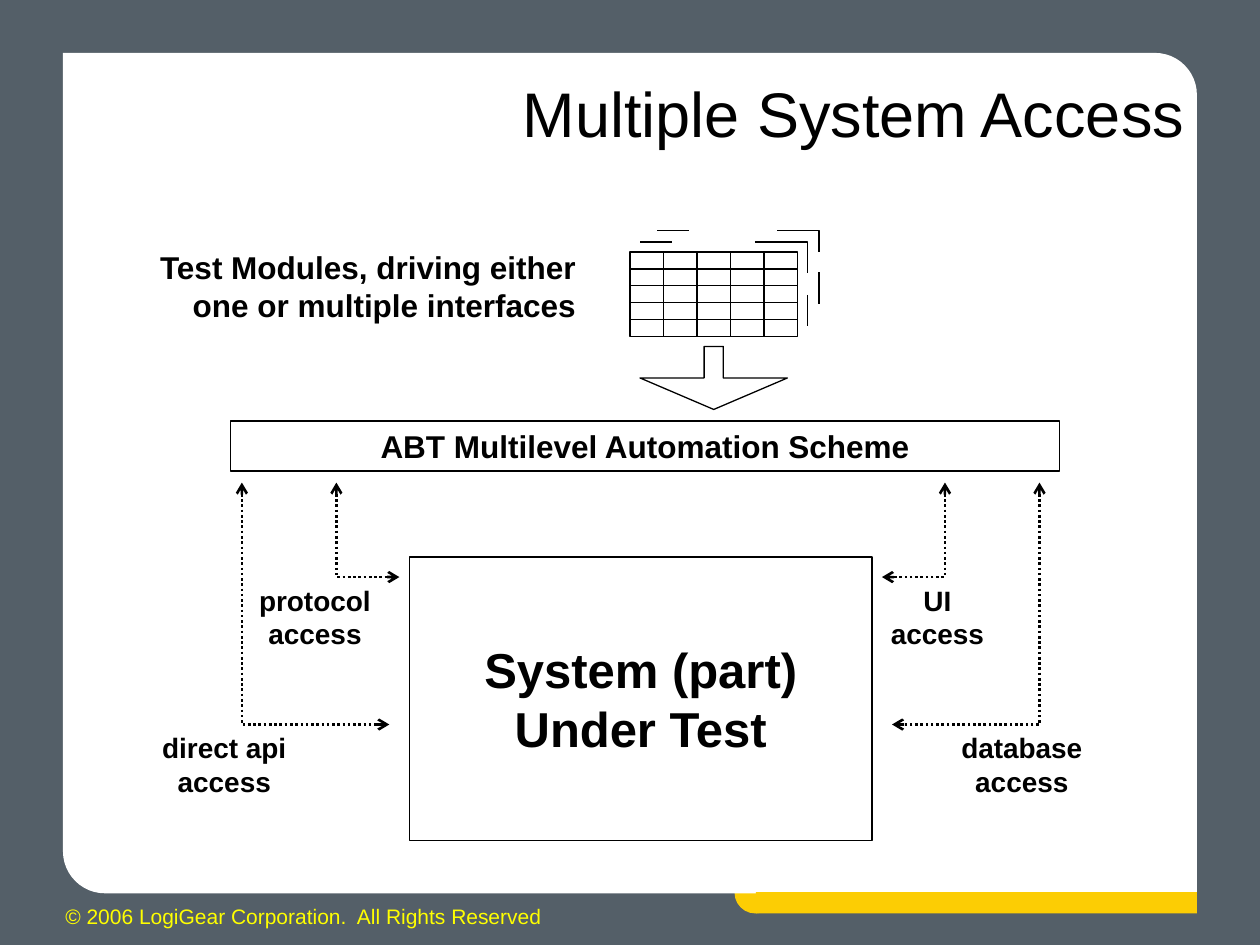
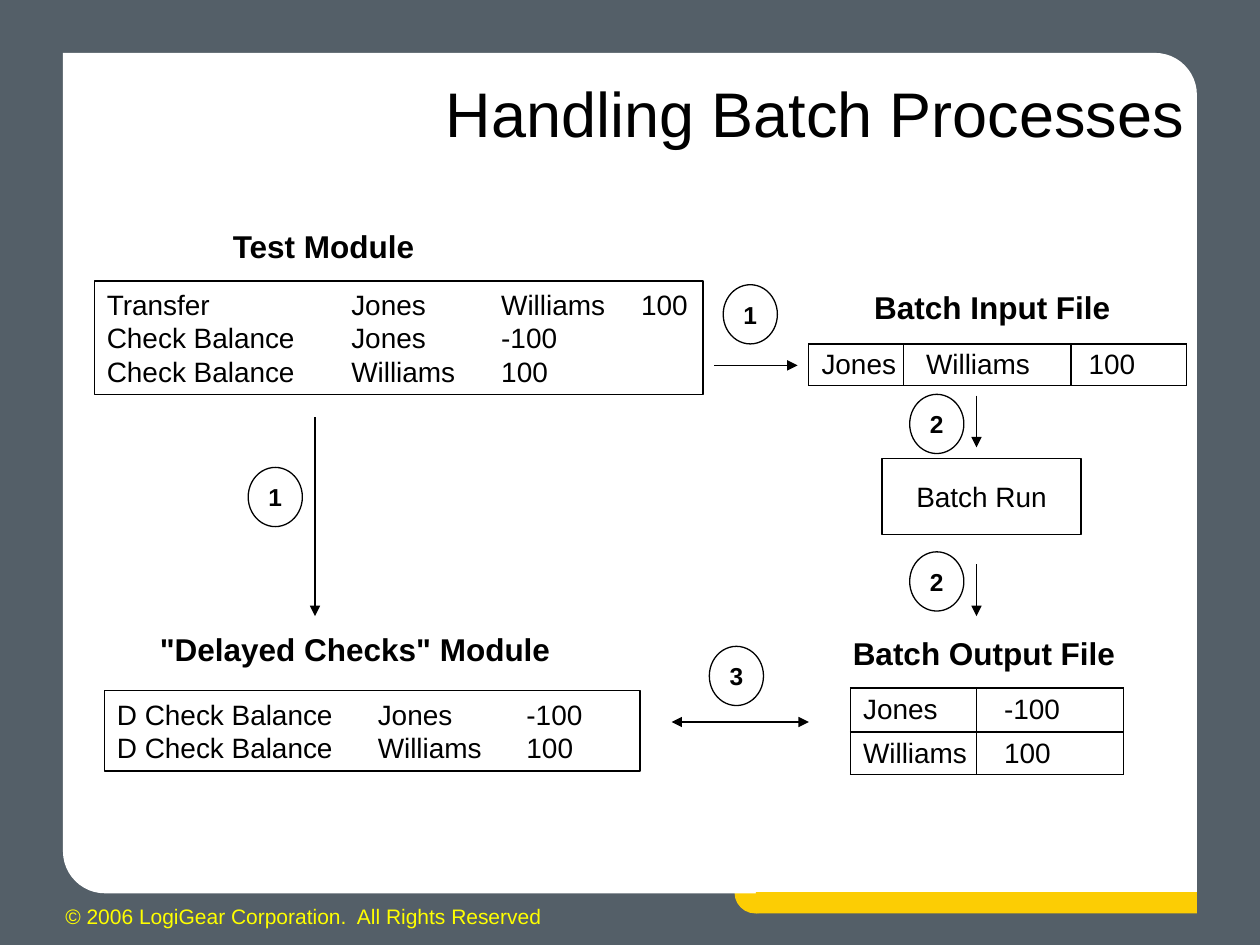
import pptx
import pptx.util
import pptx.dml.color
import pptx.enum.dml
import pptx.enum.shapes
import pptx.enum.text
import pptx.oxml
import pptx.oxml.ns
from lxml import etree

Inches = pptx.util.Inches
SHAPE = pptx.enum.shapes.MSO_SHAPE
ALIGN = pptx.enum.text.PP_ALIGN
ANCHOR = pptx.enum.text.MSO_ANCHOR
qn = pptx.oxml.ns.qn

COLORS = {
    "slate": "545F68",
    "panel": "FFFFFF",
    "gold": "FCCD04",
    "footer": "FFFF00",
    "ink": "000000",
}
FONT = "Arial"
THIN = 0.75


def color(name):
    return pptx.dml.color.RGBColor.from_string(COLORS[name])


def write_text(frame, text, size=16, bold=False, ink="ink", align=ALIGN.LEFT,
               anchor=ANCHOR.MIDDLE, wrap=False, tabs=(), last_spacing=None):
    frame.text = text
    frame.word_wrap = wrap
    frame.vertical_anchor = anchor
    for paragraph in frame.paragraphs:
        paragraph.alignment = align
        if tabs:
            stops = etree.SubElement(paragraph._p.get_or_add_pPr(), qn("a:tabLst"))
            for stop in tabs:
                etree.SubElement(stops, qn("a:tab"), pos=str(Inches(stop)), algn="l")
        for run in paragraph.runs:
            run.font.name = FONT
            run.font.size = pptx.util.Pt(size)
            run.font.bold = bold
            run.font.color.rgb = color(ink)
    if last_spacing:
        frame.paragraphs[-1].line_spacing = last_spacing


def add_label(slide, left, top, width, height, text, **text_format):
    label = slide.shapes.add_textbox(*map(Inches, (left, top, width, height)))
    write_text(label.text_frame, text, **{"anchor": ANCHOR.TOP, **text_format})


def set_stroke(line, weight):
    line.color.rgb = color("ink")
    line.width = pptx.util.Pt(weight)


def add_ends(shape, head, tail):
    outline = shape.line._get_or_add_ln()
    for tag, kind in (("a:headEnd", head), ("a:tailEnd", tail)):
        if kind:
            etree.SubElement(outline, qn(tag), type=kind)


def add_block(slide, kind, left, top, width, height, fill=None, weight=None,
              text=None, **text_format):
    block = slide.shapes.add_shape(kind, *map(Inches, (left, top, width, height)))
    block.shadow.inherit = False
    if fill:
        block.fill.solid()
        block.fill.fore_color.rgb = color(fill)
    else:
        block.fill.background()
    if weight:
        set_stroke(block.line, weight)
    else:
        block.line.fill.background()
    if text:
        write_text(block.text_frame, text, **text_format)
    return block


def add_line(slide, x1, y1, x2, y2, weight=THIN, head=None, tail=None):
    line = slide.shapes.add_connector(
        pptx.enum.shapes.MSO_CONNECTOR.STRAIGHT, *map(Inches, (x1, y1, x2, y2)))
    set_stroke(line.line, weight)
    add_ends(line, head, tail)
    etree.SubElement(line._element.spPr, qn("a:effectLst"))


def add_elbow(slide, start, corner, end, weight=THIN, dotted=False):
    points = [tuple(map(Inches, point)) for point in (start, corner, end)]
    builder = slide.shapes.build_freeform(*points[0])
    builder.add_line_segments(points[1:], close=False)
    elbow = builder.convert_to_shape()
    elbow.shadow.inherit = False
    elbow.fill.background()
    set_stroke(elbow.line, weight)
    if dotted:
        elbow.line.dash_style = pptx.enum.dml.MSO_LINE.ROUND_DOT
        add_ends(elbow, "arrow", "arrow")


def add_record_table(slide, left, top, widths, heights, records, indents):
    size = (left, top, sum(widths), sum(heights))
    table = slide.shapes.add_table(
        len(heights), len(widths), *map(Inches, size)).table
    table.first_row = table.horz_banding = False
    for column, width in zip(table.columns, widths):
        column.width = Inches(width)
    for row, height, record in zip(table.rows, heights, records):
        row.height = Inches(height)
        for cell, value, indent in zip(row.cells, record, indents):
            cell.margin_left = Inches(indent)
            cell.margin_right = cell.margin_top = cell.margin_bottom = 0
            write_text(cell.text_frame, value, wrap=True)
            cell.vertical_anchor = ANCHOR.MIDDLE
            properties = cell._tc.get_or_add_tcPr()
            for side in "LRTB":
                border = etree.SubElement(properties, qn(f"a:ln{side}"),
                                          w=str(pptx.util.Pt(THIN)))
                solid = etree.SubElement(border, qn("a:solidFill"))
                etree.SubElement(solid, qn("a:srgbClr"), val=COLORS["ink"])
            cell.fill.background()


def start_slide(deck, title):
    slide = deck.slides.add_slide(deck.slide_layouts[5])
    slide.background.fill.solid()
    slide.background.fill.fore_color.rgb = color("slate")
    add_block(slide, SHAPE.OVAL, 5.83, 6.92, 0.33, 0.33, fill="gold")
    panel = add_block(slide, SHAPE.ROUND_2_DIAG_RECTANGLE, 0.5, 0.42, 9, 6.67, fill="panel")
    panel.adjustments[0] = 0
    panel.adjustments[1] = 0.05
    add_label(slide, 0.42, 7.12, 3.99, 0.3,
              "© 2006 LogiGear Corporation.  All Rights Reserved", size=12, ink="footer")
    add_block(slide, SHAPE.RECTANGLE, 6, 7.08, 3.5, 0.17, fill="gold")
    heading = slide.shapes.title
    heading.left, heading.top, heading.width, heading.height = map(
        Inches, (2.58, 0.37, 6.92, 1.05))
    write_text(heading.text_frame, title, size=36, align=ALIGN.RIGHT, wrap=True)
    slide.shapes._spTree.append(heading._element)
    return slide


def draw_module_stack(slide, left, top, width, height):
    cells = 5
    add_block(slide, SHAPE.RECTANGLE, left, top, width, height, fill="panel", weight=THIN)
    for step in range(1, cells):
        x = left + width * step / cells
        y = top + height * step / cells
        add_line(slide, left, y, left + width, y)
        add_line(slide, x, top, x, top + height)
    right = left + width
    for shift, drop, corner_width, corner_height in (
            (0.08, 0.08, 0.42, 0.25), (0.17, 0.17, 0.33, 0.17)):
        edge, rim = right + shift, top - drop
        add_elbow(slide, (edge - corner_width, rim), (edge, rim),
                  (edge, rim + corner_height))
        add_line(slide, left + 1.5 * shift - 0.04, rim, left + 1.5 * shift + 0.21, rim)
        add_line(slide, edge, top + 0.5 - drop * 2, edge, top + 0.75 - drop * 2)


def draw_access_side(slide, outer, top, direction, inner_label, outer_label):
    for x, reach, drop in ((outer + 0.75 * direction, 0.5, 0.75), (outer, 1.17, 1.92)):
        add_elbow(slide, (x, top), (x, top + drop),
                  (x + reach * direction, top + drop), weight=1.5, dotted=True)
    for (center, text), drop in zip((inner_label, outer_label), (0.75, 1.92)):
        add_label(slide, center - 0.85, top + drop, 1.7, 0.63, text,
                  bold=True, align=ALIGN.CENTER)


def build_system_access(deck):
    slide = start_slide(deck, "Multiple System Access")
    add_block(slide, SHAPE.RECTANGLE, 3.25, 4.42, 3.67, 2.25, weight=1,
              text="System (part)\nUnder Test", size=28, bold=True, align=ALIGN.CENTER)
    draw_module_stack(slide, 5, 2, 1.33, 0.67)
    add_block(slide, SHAPE.RECTANGLE, 1.83, 3.34, 6.58, 0.4, weight=1,
              text="ABT Multilevel Automation Scheme", size=18, bold=True,
              align=ALIGN.CENTER, wrap=True)
    flow = add_block(slide, SHAPE.DOWN_ARROW, 5.08, 2.75, 1.17, 0.5, weight=THIN)
    flow.adjustments[0] = 0.13
    flow.adjustments[1] = 0.5
    draw_access_side(slide, 1.92, 3.83, 1,
                     (2.5, "protocol\naccess"), (1.78, "direct api\naccess"))
    draw_access_side(slide, 8.25, 3.83, -1,
                     (7.44, "UI\naccess"), (8.11, "database\naccess"))
    add_label(slide, 0.92, 1.92, 3.75, 0.42,
              "Test Modules, driving either one or multiple interfaces",
              size=18, bold=True, align=ALIGN.RIGHT, wrap=True)


def draw_module(slide, left, top, width, height, heading, heading_at, steps, tabs):
    add_label(slide, *heading_at, 3.3, 0.4, heading, size=18, bold=True,
              wrap=True)
    add_block(slide, SHAPE.RECTANGLE, left, top, width, height, weight=THIN,
              text="\n".join("\t".join(step) for step in steps), wrap=True, tabs=tabs)


def draw_batch_file(slide, left, top, heading, heading_at, **records):
    add_label(slide, *heading_at, 2.4, 0.4, heading, size=18, bold=True, wrap=True)
    add_record_table(slide, left, top, **records)


def draw_step_marks(slide, marks):
    for left, top, number in marks:
        add_block(slide, SHAPE.OVAL, left, top, 0.43, 0.47, weight=THIN, text=number,
                  size=14, bold=True, align=ALIGN.CENTER)


def build_batch_processes(deck):
    slide = start_slide(deck, "Handling Batch Processes")
    draw_module(slide, 0.75, 2.23, 4.83, 0.9, "Test Module", (1.75, 1.75),
                [("Transfer", "Jones", "Williams", "100"),
                 ("Check Balance", "Jones", "-100"),
                 ("Check Balance", "Williams", "100")], (1.94, 3.13, 4.24))
    draw_module(slide, 0.83, 5.48, 4.25, 0.64, '"Delayed Checks" Module', (1.17, 4.95),
                [("D Check Balance", "Jones", "-100"),
                 ("D Check Balance", "Williams", "100")], (2.07, 3.25))
    draw_batch_file(slide, 6.42, 2.73, "Batch Input File", (6.84, 2.24),
                    widths=(0.75, 1.33, 0.92), heights=(0.33,),
                    records=[("Jones", "Williams", "100")], indents=(0.1, 0.18, 0.14))
    draw_batch_file(slide, 6.75, 5.46, "Batch Output File", (6.67, 4.98),
                    widths=(1, 1.17), heights=(0.35, 0.34),
                    records=[("Jones", "-100"), ("Williams", "100")], indents=(0.1, 0.22))
    add_block(slide, SHAPE.RECTANGLE, 7, 3.64, 1.58, 0.6, weight=THIN,
              text="Batch Run", align=ALIGN.CENTER)
    add_line(slide, 5.67, 2.9, 6.33, 2.9, weight=1, tail="triangle")
    add_line(slide, 2.5, 3.31, 2.5, 4.89, weight=1, tail="triangle")
    for top in (3.14, 4.48):
        add_line(slide, 7.75, top, 7.75, top + 0.41, tail="triangle")
    add_line(slide, 5.33, 5.73, 6.42, 5.73, weight=1, head="triangle", tail="triangle")
    draw_step_marks(slide, [(5.74, 2.26, "1"), (1.97, 3.71, "1"), (7.22, 3.13, "2"),
                            (7.22, 4.38, "2"), (5.63, 5.13, "3")])


def main():
    deck = pptx.Presentation()
    deck.slide_width = Inches(10)
    deck.slide_height = Inches(7.5)
    build_system_access(deck)
    build_batch_processes(deck)
    deck.save("out.pptx")


if __name__ == "__main__":
    main()
